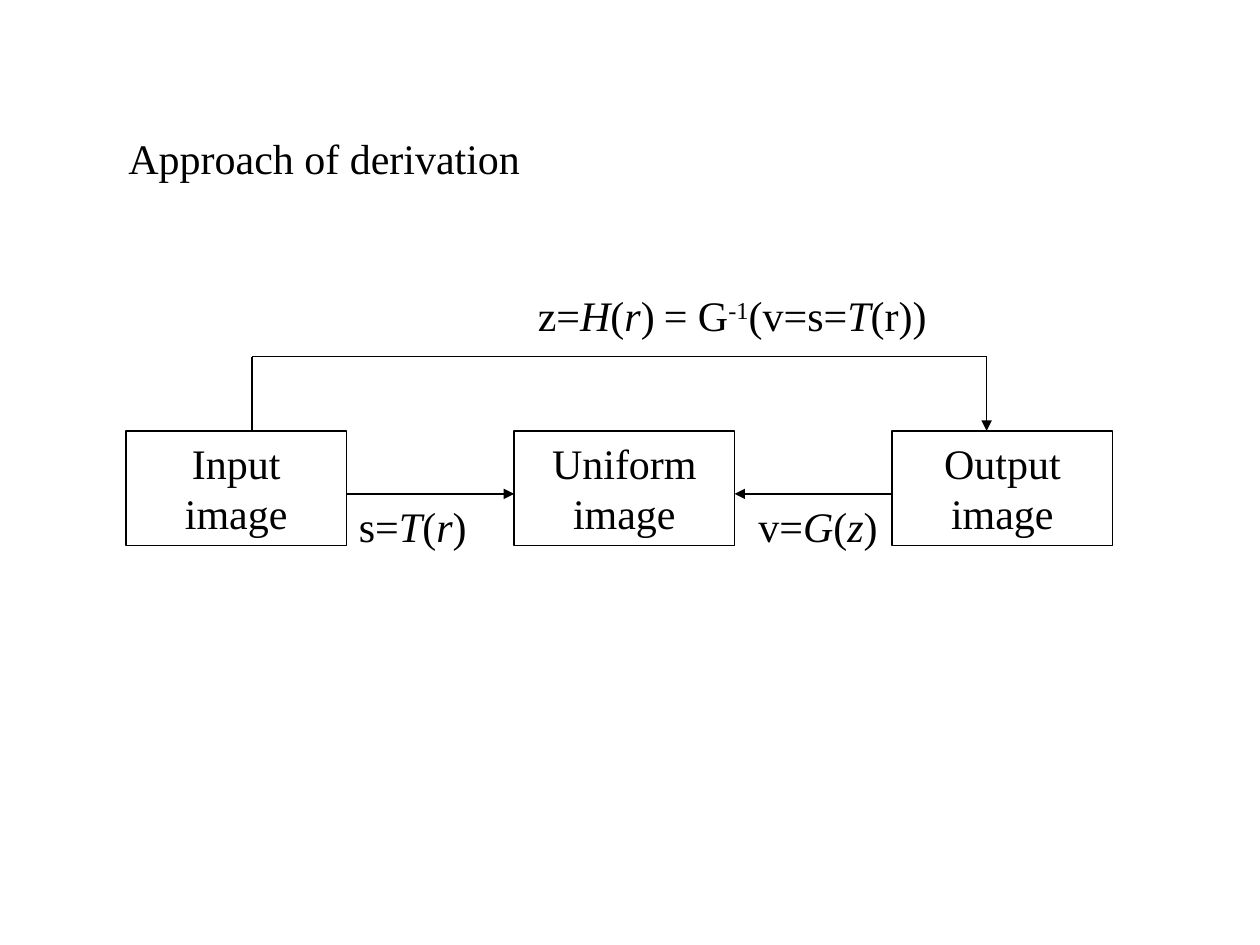
import pptx
import pptx.util
import pptx.dml.color
import pptx.enum.shapes
import pptx.enum.text
import pptx.oxml.ns
import lxml.etree

Inches = pptx.util.Inches
Align = pptx.enum.text.PP_ALIGN
BLACK = pptx.dml.color.RGBColor(0, 0, 0)
FONT = "Times New Roman"

TOP, WIDE, HIGH = 3.42, 1.75, 0.91
FLOW, LOOP = 3.92, 2.83
START, END = 2, 7.83

BOXES = [("Input image", 1), ("Uniform image", 4.08), ("Output image", 7.08)]
LABELS = [
    ("Approach of derivation", 0.92, 1, 6.25),
    ("s=*T*(*r*)", 2.75, FLOW, 1.25),
    ("v=*G*(*z*)", 5.92, FLOW, 1.25),
    ("z=*H*(*r*)", 4.17, 2.25, 1.25),
    ("= G^-1^(v=s=*T*(r))", 5.17, 2.25, 2.42),
]
first, middle, last = [left for name, left in BOXES]
LINES = [
    (first + WIDE, FLOW, middle, FLOW, True),
    (last, FLOW, middle + WIDE, FLOW, True),
    (START, TOP, START, LOOP, False),
    (START, LOOP, END, LOOP, False),
    (END, LOOP, END, TOP, True),
]


def write(shape, text, size=24, align=Align.LEFT):
    frame = shape.text_frame
    frame.word_wrap = True
    frame.vertical_anchor = pptx.enum.text.MSO_ANCHOR.TOP
    para = frame.paragraphs[0]
    para.alignment = align
    for i, chunk in enumerate(text.split("*")):
        for j, part in enumerate(chunk.split("^")):
            if not part:
                continue
            run = para.add_run()
            run.text = part
            run.font.name = FONT
            run.font.size = pptx.util.Pt(size)
            run.font.color.rgb = BLACK
            run.font.italic = i % 2 == 1
            if j % 2:
                run.font._element.set("baseline", "30000")


def stroke(shape):
    shape.line.color.rgb = BLACK
    shape.line.width = pptx.util.Pt(0.75)


def join(slide, x1, y1, x2, y2, arrow):
    line = slide.shapes.add_connector(
        pptx.enum.shapes.MSO_CONNECTOR.STRAIGHT,
        Inches(x1), Inches(y1), Inches(x2), Inches(y2))
    stroke(line)
    qn = pptx.oxml.ns.qn
    if arrow:
        lxml.etree.SubElement(line.line._get_or_add_ln(), qn("a:tailEnd"), type="triangle")
    lxml.etree.SubElement(line._element.spPr, qn("a:effectLst"))


def main():
    deck = pptx.Presentation()
    deck.slide_width, deck.slide_height = Inches(10), Inches(7.5)
    slide = deck.slides.add_slide(deck.slide_layouts[6])
    for text, left in BOXES:
        box = slide.shapes.add_shape(
            pptx.enum.shapes.MSO_SHAPE.RECTANGLE,
            Inches(left), Inches(TOP), Inches(WIDE), Inches(HIGH))
        box.shadow.inherit = False
        box.fill.background()
        stroke(box)
        write(box, text, align=Align.CENTER)
    for ends in LINES:
        join(slide, *ends)
    for text, left, top, wide in LABELS:
        label = slide.shapes.add_textbox(
            Inches(left), Inches(top), Inches(wide), Inches(0.5))
        write(label, text)
    deck.save("out.pptx")


if __name__ == "__main__":
    main()
